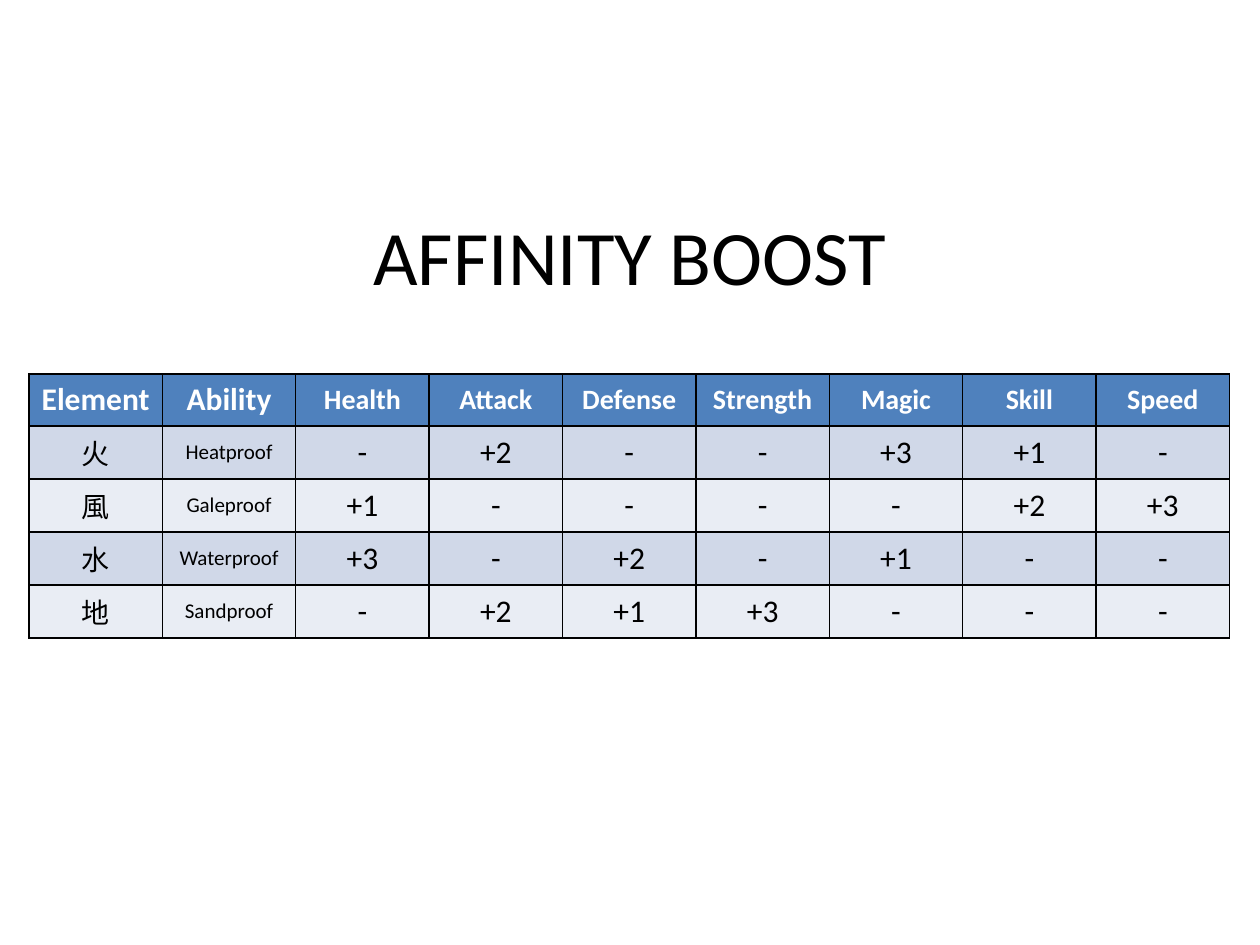
from dataclasses import dataclass

from lxml import etree
from pptx import Presentation
from pptx import util as u
from pptx.dml.color import RGBColor
from pptx.enum import text
from pptx.oxml import ns


@dataclass(frozen=True)
class Theme:
    font: str = "Calibri"
    ink: str = "000000"
    header_ink: str = "FFFFFF"
    header_fill: str = "4F81BD"
    band_fills: tuple = ("D0D8E8", "E9EDF4")
    border_pt: float = 1
    title_size: int = 44
    large: int = 18
    medium: int = 16
    small: int = 12


def write(frame, words, *, font, size, color, bold=False):
    """Put one centred line of formatted text in a text frame."""
    frame.word_wrap = True
    line = frame.paragraphs[0]
    line.alignment = text.PP_ALIGN.CENTER
    run = line.add_run()
    run.text = words
    run.font.name = font
    run.font.size = u.Pt(size)
    run.font.bold = bold
    run.font.color.rgb = RGBColor.from_string(color)


class SlideBuilder:
    def __init__(self, slide, theme):
        self.slide = slide
        self.theme = theme

    def title(self, words, left, top, width, height):
        heading = self.slide.shapes.title
        heading.left, heading.top = u.Inches(left), u.Inches(top)
        heading.width, heading.height = u.Inches(width), u.Inches(height)
        heading.text_frame.vertical_anchor = text.MSO_ANCHOR.MIDDLE
        write(heading.text_frame, words, font=self.theme.font,
              size=self.theme.title_size, color=self.theme.ink)

    def table(self, rows, left, top, width, row_height):
        grid = self.slide.shapes.add_table(
            len(rows), len(rows[0]), u.Inches(left), u.Inches(top),
            u.Inches(width), u.Inches(row_height * len(rows))).table
        for r, row in enumerate(rows):
            for c, words in enumerate(row):
                self.cell(grid.cell(r, c), words, r, c)

    def cell(self, cell, words, r, c):
        theme = self.theme
        header = r == 0
        if header:
            fill, color = theme.header_fill, theme.header_ink
            size = theme.large if c < 2 else theme.medium
        else:
            fill, color = theme.band_fills[(r - 1) % 2], theme.ink
            size = {0: theme.medium, 1: theme.small}.get(c, theme.large)
        cell.margin_left = cell.margin_right = u.Inches(0.05)
        cell.vertical_anchor = text.MSO_ANCHOR.MIDDLE
        write(cell.text_frame, words, font=theme.font, size=size,
              color=color, bold=header)
        self.borders(cell)
        cell.fill.solid()
        cell.fill.fore_color.rgb = RGBColor.from_string(fill)

    def borders(self, cell):
        properties = cell._tc.get_or_add_tcPr()
        for side in ("a:lnL", "a:lnR", "a:lnT", "a:lnB"):
            edge = etree.SubElement(properties, ns.qn(side),
                                    w=str(u.Pt(self.theme.border_pt)))
            paint = etree.SubElement(edge, ns.qn("a:solidFill"))
            etree.SubElement(paint, ns.qn("a:srgbClr"), val=self.theme.ink)


# Slide
deck = Presentation()
deck.slide_width, deck.slide_height = u.Inches(10), u.Inches(7.5)
affinity = SlideBuilder(deck.slides.add_slide(deck.slide_layouts[5]), Theme())

# Title
affinity.title("AFFINITY BOOST", 0.5, 1.4, 9, 1.25)

# Boosts by element
boosts = [
    ["Element", "Ability", "Health", "Attack", "Defense", "Strength",
     "Magic", "Skill", "Speed"],
    ["火", "Heatproof", "-", "+2", "-", "-", "+3", "+1", "-"],
    ["風", "Galeproof", "+1", "-", "-", "-", "-", "+2", "+3"],
    ["水", "Waterproof", "+3", "-", "+2", "-", "+1", "-", "-"],
    ["地", "Sandproof", "-", "+2", "+1", "+3", "-", "-", "-"],
]
affinity.table(boosts, 0.23, 2.97, 9.53, 0.41)

deck.save("out.pptx")
